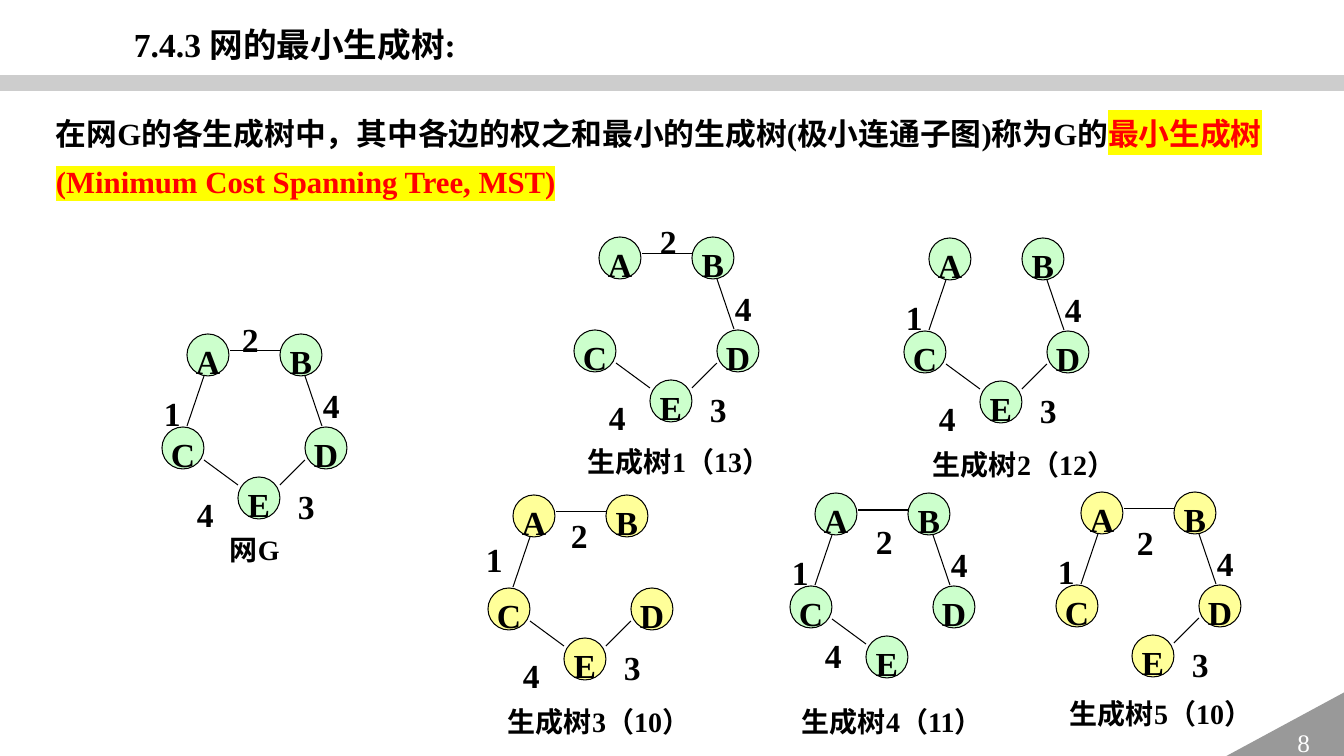
import pptx
import pptx.util
import pptx.dml.color
import pptx.enum.shapes
import pptx.enum.text
import pptx.oxml
import pptx.oxml.ns
from lxml import etree

TITLE = "7.4.3 网的最小生成树:"
DEFINITION = "在网G的各生成树中，其中各边的权之和最小的生成树(极小连通子图)称为G的"
TERM = "最小生成树(Minimum Cost Spanning Tree, MST)"
PAGE = "8"

NODE = 42
NODES = {"A": (25, 0), "B": (118, 0), "C": (0, 93), "D": (143, 93), "E": (76, 143)}
EDGES = {
    "AB": ((68, 17), (118, 17)),
    "AC": ((42, 42), (25, 92)),
    "CE": ((42, 126), (76, 151)),
    "DE": ((143, 126), (118, 151)),
    "BD": ((143, 42), (160, 92)),
}
WEIGHTS = {
    "AB": ("2", 70, -32, 33),
    "AC": ("1", -8, 42, 33),
    "CE": ("4", 25, 143, 33),
    "DE": ("3", 126, 135, 50),
    "BD": ("4", 151, 34, 50),
}
GRAPHS = [
    dict(name="网G", at=(162, 334), caption=(220, 517, 101), fill="green",
         edges=["AB", "AC", "CE", "DE", "BD"], moved={}),
    dict(name="生成树1（13）", at=(574, 237), caption=(578, 429, 284), fill="green",
         edges=["AB", "CE", "DE", "BD"], moved={"AB": (76, -33)}),
    dict(name="生成树2（12）", at=(904, 238), caption=(923, 432, 294), fill="green",
         edges=["AC", "CE", "DE", "BD"], moved={}),
    dict(name="生成树5（10）", at=(1056, 492), caption=(1060, 681, 294), fill="yellow",
         edges=["AB", "AC", "DE", "BD"], moved={"AB": (71, 13)}),
    dict(name="生成树4（11）", at=(790, 493), caption=(792, 689, 284), fill="green",
         edges=["AB", "AC", "CE", "BD"], moved={"AB": (76, 11), "CE": (25, 125)}),
    dict(name="生成树3（10）", at=(488, 495), caption=(498, 689, 236), fill="yellow",
         edges=["AB", "AC", "CE", "DE"], moved={"AB": (73, 3), "AC": (-12, 27)}),
]

THEME = dict(
    font="Times New Roman", black="000000", white="FFFFFF", red="FF0000",
    green="CCFFCC", yellow="FFFF99", mark="FFFF00", bar="A6A6A6", corner="999999",
    title=24, body=22, label=24, caption=20, page=18, line=0.75, spacing=1.3,
)
SHAPE = pptx.enum.shapes.MSO_SHAPE
ALIGN = pptx.enum.text.PP_ALIGN
qn = pptx.oxml.ns.qn


def px(n):
    return round(n * 914400 / 100.8)


def rgb(name):
    return pptx.dml.color.RGBColor.from_string(THEME[name])


def write(p, text, size, color="black", bold=True, mark=None):
    r = p.add_run()
    r.text = text
    r.font.size = pptx.util.Pt(THEME[size])
    r.font.bold = bold
    r.font.color.rgb = rgb(color)
    r.font.name = THEME["font"]
    if mark:
        highlight = etree.Element(qn("a:highlight"))
        etree.SubElement(highlight, qn("a:srgbClr"), val=THEME[mark])
        r.font._element.find(qn("a:solidFill")).addnext(highlight)


def add_text(s, x, y, w, h, text, size):
    tf = s.shapes.add_textbox(px(x), px(y), px(w), px(h)).text_frame
    tf.word_wrap = True
    tf.auto_size = pptx.enum.text.MSO_AUTO_SIZE.SHAPE_TO_FIT_TEXT
    p = tf.paragraphs[0]
    p.line_spacing = THEME["spacing"]
    write(p, text, size)
    return p


def add_shape(s, kind, x, y, w, h, fill, outlined=False):
    sp = s.shapes.add_shape(kind, px(x), px(y), px(w), px(h))
    sp.shadow.inherit = False
    sp.fill.solid()
    sp.fill.fore_color.rgb = rgb(fill)
    if outlined:
        sp.line.color.rgb = rgb("black")
        sp.line.width = pptx.util.Pt(THEME["line"])
    else:
        sp.line.fill.background()
    sp.text_frame.vertical_anchor = pptx.enum.text.MSO_ANCHOR.MIDDLE
    sp.text_frame.paragraphs[0].alignment = ALIGN.CENTER
    return sp


def add_edge(s, start, end):
    cx = s.shapes.add_connector(pptx.enum.shapes.MSO_CONNECTOR.STRAIGHT,
                                *[px(n) for n in start + end])
    cx.line.color.rgb = rgb("black")
    cx.line.width = pptx.util.Pt(THEME["line"])
    etree.SubElement(cx._element.spPr, qn("a:effectLst"))


def add_graph(s, graph):
    ox, oy = graph["at"]
    for letter, (dx, dy) in NODES.items():
        sp = add_shape(s, SHAPE.OVAL, ox + dx, oy + dy, NODE, NODE, graph["fill"], True)
        sp.text_frame.word_wrap = False
        p = sp.text_frame.paragraphs[0]
        p.line_spacing = THEME["spacing"]
        write(p, letter, "label")
    for edge in graph["edges"]:
        add_edge(s, *[(ox + dx, oy + dy) for dx, dy in EDGES[edge]])
    for edge in graph["edges"]:
        weight, dx, dy, w = WEIGHTS[edge]
        dx, dy = graph["moved"].get(edge, (dx, dy))
        add_text(s, ox + dx, oy + dy, w, 57, weight, "label")
    x, y, w = graph["caption"]
    add_text(s, x, y, w, 50, graph["name"], "caption")


def main():
    prs = pptx.Presentation()
    prs.slide_width, prs.slide_height = px(1344), px(756)
    s = prs.slides.add_slide(prs.slide_layouts[6])

    bar = add_shape(s, SHAPE.RECTANGLE, 0, 75, 1344, 16, "bar")
    color = bar._element.spPr.find(qn("a:solidFill"))[0]
    etree.SubElement(color, qn("a:alpha"), val="56000")

    corner = add_shape(s, SHAPE.RIGHT_TRIANGLE, 1221, 692, 124, 67, "corner")
    corner._element.spPr.find(qn("a:xfrm")).set("flipH", "1")
    write(corner.text_frame.paragraphs[0], PAGE, "page", color="white", bold=False)

    for graph in GRAPHS:
        add_graph(s, graph)

    p = add_text(s, 46, 99, 1236, 103, DEFINITION, "body")
    write(p, TERM, "body", color="red", mark="mark")
    add_text(s, 124, 7, 979, 57, TITLE, "title")
    prs.save("out.pptx")


if __name__ == "__main__":
    main()
